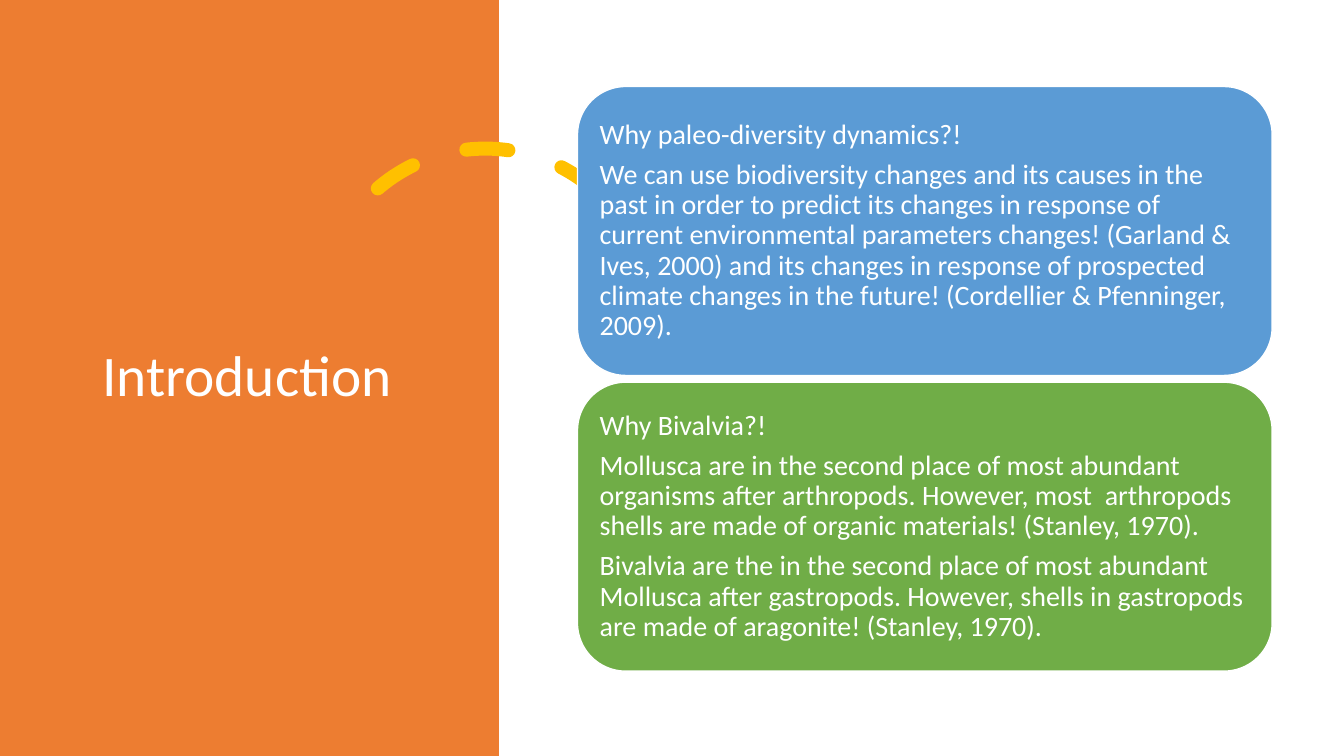
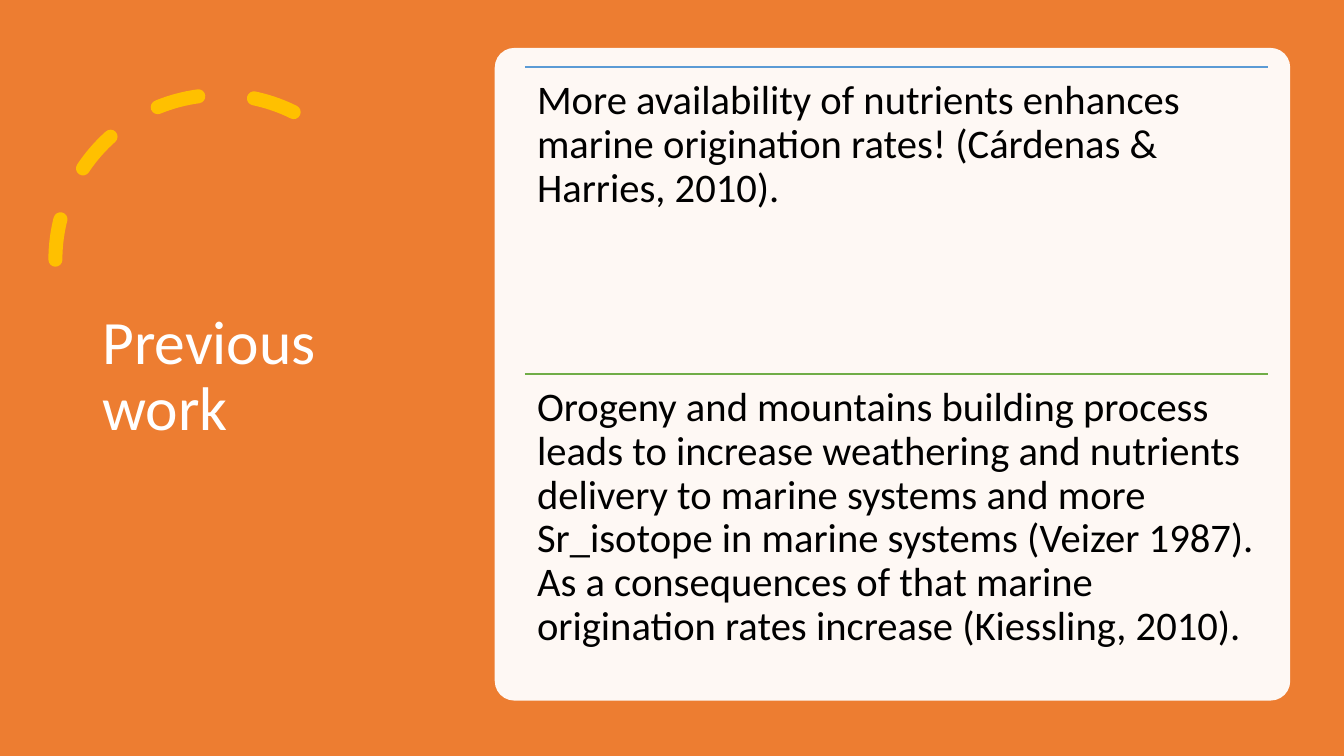
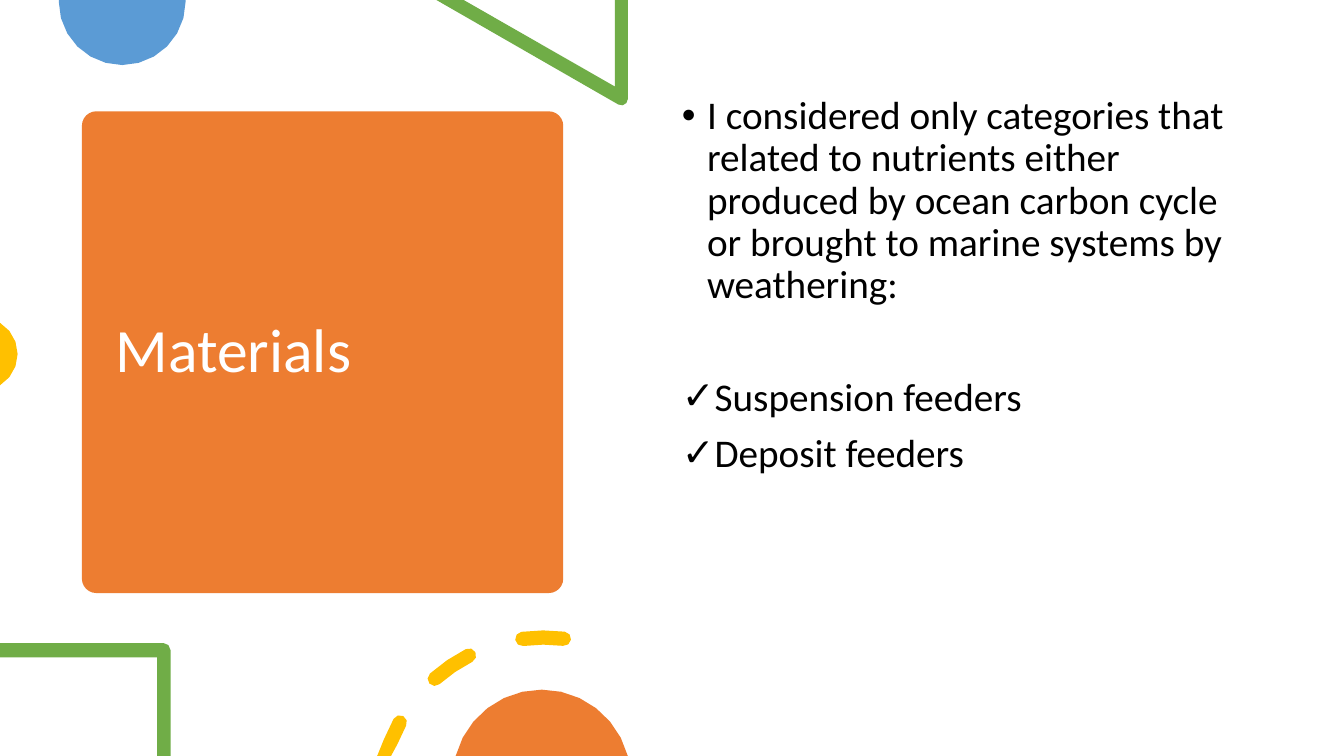
from dataclasses import dataclass
from math import cos, radians, sin
from typing import NamedTuple, Optional

from lxml import etree
from pptx import Presentation
from pptx.dml.color import RGBColor
from pptx.enum.dml import MSO_LINE
from pptx.enum.shapes import MSO_CONNECTOR, MSO_SHAPE
from pptx.enum.text import MSO_ANCHOR, PP_ALIGN
from pptx.oxml.ns import qn
from pptx.util import Emu, Inches, Pt

RECTANGLE, ROUNDED, ARC = MSO_SHAPE.RECTANGLE, MSO_SHAPE.ROUNDED_RECTANGLE, MSO_SHAPE.ARC
STRAIGHT = MSO_CONNECTOR.STRAIGHT
DASH = MSO_LINE.DASH
TOP, MIDDLE = MSO_ANCHOR.TOP, MSO_ANCHOR.MIDDLE
LEFT = PP_ALIGN.LEFT

# Square grid over the whole slide; every Frame and point is in its units
COLUMNS, ROWS = 32, 18
SLIDE_HEIGHT = Inches(7.5)
UNIT = SLIDE_HEIGHT / ROWS
SLIDE_WIDTH = Emu(round(UNIT * COLUMNS))


@dataclass(frozen=True)
class Theme:
    font: str = "Calibri"
    orange: str = "ED7D31"
    yellow: str = "FFC000"
    blue: str = "5B9BD5"
    green: str = "70AD47"
    white: str = "FFFFFF"
    black: str = "000000"
    title_size: int = 44
    small_title_size: int = 41
    card_size: int = 20
    row_size: int = 29
    body_size: int = 28
    line_spacing: float = 0.9
    space_after_share: float = 0.35
    hairline: int = 1
    dash_width: int = 10


THEME = Theme()


class Frame(NamedTuple):
    left: float
    top: float
    width: float
    height: float


class Point(NamedTuple):
    x: float
    y: float


@dataclass(frozen=True)
class TextStyle:
    size: int
    color: str
    anchor: MSO_ANCHOR = TOP
    inset: Optional[float] = None
    after: float = 0


class Entry(NamedTuple):
    """Paragraphs that share an accent colour."""
    color: str
    paragraphs: tuple


class Bullet(NamedTuple):
    mark: str
    text: str
    before: int


TITLE_FRAME = Frame(2.2, 1.68, 7.75, 14.62)


# Basic parts
def grid(value: float) -> Emu:
    return Emu(round(value * UNIT))


def place(frame: Frame) -> list:
    return [grid(value) for value in frame]


def rgb(color: str) -> RGBColor:
    return RGBColor.from_string(color)


def paint(shape, fill: str, line: Optional[str] = None) -> None:
    shape.shadow.inherit = False
    shape.fill.solid()
    shape.fill.fore_color.rgb = rgb(fill)
    if line:
        shape.line.color.rgb = rgb(line)
        shape.line.width = Pt(THEME.hairline)
    else:
        shape.line.fill.background()


def add_panel(page, kind, frame: Frame, fill: str, corner: Optional[float] = None,
              line: Optional[str] = None):
    panel = page.shapes.add_shape(kind, *place(frame))
    paint(panel, fill, line)
    if corner is not None:
        panel.adjustments[0] = corner
    return panel


def add_dashed_arc(page, frame: Frame, rotation: float = 0, mirrored: bool = False) -> None:
    arc = page.shapes.add_shape(ARC, *place(frame))
    arc.shadow.inherit = False
    arc.adjustments[0], arc.adjustments[1] = 146.13, 0
    arc.rotation = rotation
    arc.fill.background()
    arc.line.color.rgb = rgb(THEME.yellow)
    arc.line.width = Pt(THEME.dash_width)
    arc.line.dash_style = DASH
    arc._element.spPr.find(qn("a:ln")).set("cap", "rnd")
    if mirrored:
        arc._element.spPr.find(qn("a:xfrm")).set("flipH", "1")


def add_rule(page, left: float, top: float, width: float, color: str) -> None:
    rule = page.shapes.add_connector(STRAIGHT, grid(left), grid(top), grid(left + width), grid(top))
    rule.line.color.rgb = rgb(color)
    rule.line.width = Pt(THEME.hairline)
    etree.SubElement(rule._element.spPr, qn("a:effectLst"))


# Text
def add_span(para, text: str, style: TextStyle) -> None:
    span = para.add_run()
    span.text = text
    span.font.name = THEME.font
    span.font.size = Pt(style.size)
    span.font.color.rgb = rgb(style.color)


def write(box, paragraphs: tuple, style: TextStyle) -> list:
    frame = box.text_frame
    frame.word_wrap = True
    frame.vertical_anchor = style.anchor
    if style.inset is not None:
        frame.margin_left = frame.margin_right = Inches(style.inset)
        frame.margin_top = frame.margin_bottom = Inches(style.inset)
    for number, text in enumerate(paragraphs):
        para = frame.add_paragraph() if number else frame.paragraphs[0]
        para.alignment = LEFT
        para.line_spacing = THEME.line_spacing
        para.space_after = Pt(style.size * style.after)
        add_span(para, text, style)
    return list(frame.paragraphs)


def add_text(page, frame: Frame, paragraphs: tuple, style: TextStyle) -> list:
    return write(page.shapes.add_textbox(*place(frame)), paragraphs, style)


def add_title(page, text: str, frame: Frame = TITLE_FRAME, size: int = THEME.title_size) -> None:
    add_text(page, frame, (text,), TextStyle(size, THEME.white, MIDDLE))


def set_bullet(para, mark: str) -> None:
    properties = para._p.get_or_add_pPr()
    properties.set("marL", str(Inches(0.25)))
    properties.set("indent", str(-Inches(0.25)))
    etree.SubElement(properties, qn("a:buFont")).set("typeface", "Arial")
    etree.SubElement(properties, qn("a:buChar")).set("char", mark)


# Outlines
def curve(center: Point, radius: float, start: float, end: float, steps: int) -> list:
    angles = [radians(start + (end - start) * step / steps) for step in range(steps + 1)]
    return [Point(center.x + radius * cos(angle), center.y + radius * sin(angle))
            for angle in angles]


def capsule(center: Point, radius: float, start: float, end: float, half: float) -> list:
    """A thick arc with round ends."""
    tail, head = curve(center, radius, start, end, 1)
    return (curve(center, radius + half, start, end, 2)
            + curve(head, half, end, end + 180, 4)[1:-1]
            + curve(center, radius - half, end, start, 2)
            + curve(tail, half, start + 180, start + 360, 4)[1:-1])


def add_outline(page, contours: list, fill: str) -> None:
    """Draw closed contours, kept above the slide's bottom edge."""
    builder = None
    for contour in contours:
        points = [(grid(x), grid(min(y, ROWS))) for x, y in contour]
        if builder is None:
            builder = page.shapes.build_freeform(*points[0], scale=1.0)
        else:
            builder.move_to(*points[0])
        builder.add_line_segments(points[1:], close=True)
    paint(builder.convert_to_shape(), fill)


# Slides
def build_introduction(page) -> None:
    add_panel(page, RECTANGLE, Frame(0, 0, 11.88, ROWS), THEME.orange)
    add_dashed_arc(page, Frame(7.63, 3.54, 7.85, 7.85), rotation=345.8)
    add_title(page, "Introduction", size=THEME.small_title_size)

    cards = (
        Entry(THEME.blue, (
            "Why paleo-diversity dynamics?!",
            "We can use biodiversity changes and its causes in the past in order to predict its "
            "changes in response of current environmental parameters changes! (Garland & Ives, "
            "2000) and its changes in response of prospected climate changes in the future! "
            "(Cordellier & Pfenninger, 2009).")),
        Entry(THEME.green, (
            "Why Bivalvia?!",
            "Mollusca are in the second place of most abundant organisms after arthropods. "
            "However, most  arthropods shells are made of organic materials! (Stanley, 1970).",
            "Bivalvia are the in the second place of most abundant Mollusca after gastropods. "
            "However, shells in gastropods are made of aragonite! (Stanley, 1970).")),
    )
    style = TextStyle(THEME.card_size, THEME.white, MIDDLE, 0.08, THEME.space_after_share)
    height, gap = 6.88, 0.16
    for number, card in enumerate(cards):
        frame = Frame(13.75, 2.06 + number * (height + gap), 16.54, height)
        box = add_panel(page, ROUNDED, frame, card.color, line=THEME.white)
        write(box, card.paragraphs, style)


def build_previous_work(page) -> None:
    add_panel(page, RECTANGLE, Frame(0, 0, COLUMNS, ROWS), THEME.orange)
    add_dashed_arc(page, Frame(1.32, 2.26, 7.85, 7.85), mirrored=True)
    add_title(page, "Previous work")

    sheet = add_panel(page, ROUNDED, Frame(11.78, 1.14, 18.94, 15.54), THEME.white, 0.03)
    color = sheet._element.spPr.find(qn("a:solidFill"))[0]
    etree.SubElement(color, qn("a:alpha")).set("val", "95000")

    findings = (
        Entry(THEME.blue, (
            "More availability of nutrients enhances marine origination rates! "
            "(Cárdenas & Harries, 2010).",)),
        Entry(THEME.green, (
            "Orogeny and mountains building process leads to increase weathering and nutrients "
            "delivery to marine systems and more Sr_isotope in marine systems (Veizer 1987). "
            "As a consequences of that marine origination rates increase (Kiessling, 2010).",)),
    )
    style = TextStyle(THEME.row_size, THEME.black, TOP, 0.12, THEME.space_after_share)
    for number, finding in enumerate(findings):
        frame = Frame(12.5, 1.6 + number * 7.31, 17.69, 7.31)
        add_rule(page, frame.left, frame.top, frame.width, finding.color)
        add_text(page, frame, finding.paragraphs, style)


def build_materials(page) -> None:
    add_panel(page, ROUNDED, Frame(1.95, 2.65, 11.46, 11.47), THEME.orange, 0.03)
    add_title(page, "Materials", Frame(2.52, 2.93, 10.34, 10.94))

    # Ornaments cut by the slide's edges
    blue_disc = [Point(4.42, 0), Point(1.4, 0), *curve(Point(2.91, 0.04), 1.51, 180, 0, 12)]
    triangle = [Point(14.95, 0), Point(14.64, 0), Point(14.64, 2.06), Point(11.04, 0),
                Point(10.39, 0), *curve(Point(14.8, 2.36), 0.15, 120, 0, 3)]
    square = [Point(4.06, 18), Point(3.74, 18), Point(3.74, 15.65), Point(0, 15.65),
              Point(0, 15.31), *curve(Point(3.89, 15.48), 0.17, 270, 360, 2)]
    ring = [capsule(Point(12.95, 19.1), 3.92, start, end, 0.17)
            for start, end in ((194, 209), (228.5, 243), (262.5, 277))]
    add_outline(page, [blue_disc], THEME.blue)
    add_outline(page, [triangle], THEME.green)
    add_outline(page, [curve(Point(-0.45, 8.43), 0.87, -58.8, 58.8, 6)], THEME.yellow)

    # Bulleted list, with a wider gap before the check marks
    bullets = (
        Bullet("•", "I considered only categories that related to nutrients either produced by "
                    "ocean carbon cycle or brought to marine systems by weathering:", 10),
        Bullet("✓", "Suspension feeders", 50),
        Bullet("✓", "Deposit feeders", 10),
    )
    paras = add_text(page, Frame(16, 2.16, 13.8, 12.84),
                     tuple(bullet.text for bullet in bullets),
                     TextStyle(THEME.body_size, THEME.black))
    for para, bullet in zip(paras, bullets):
        para.space_before = Pt(bullet.before)
        set_bullet(para, bullet.mark)

    # Ornaments along the bottom edge
    add_outline(page, [square], THEME.green)
    add_outline(page, ring, THEME.yellow)
    add_outline(page, [curve(Point(12.9, 18.54), 2.12, 194.8, 345.2, 12)], THEME.orange)


def main() -> None:
    deck = Presentation()
    deck.slide_width, deck.slide_height = SLIDE_WIDTH, SLIDE_HEIGHT
    blank = deck.slide_layouts[6]
    for build in (build_introduction, build_previous_work, build_materials):
        build(deck.slides.add_slide(blank))
    deck.save("out.pptx")


if __name__ == "__main__":
    main()
